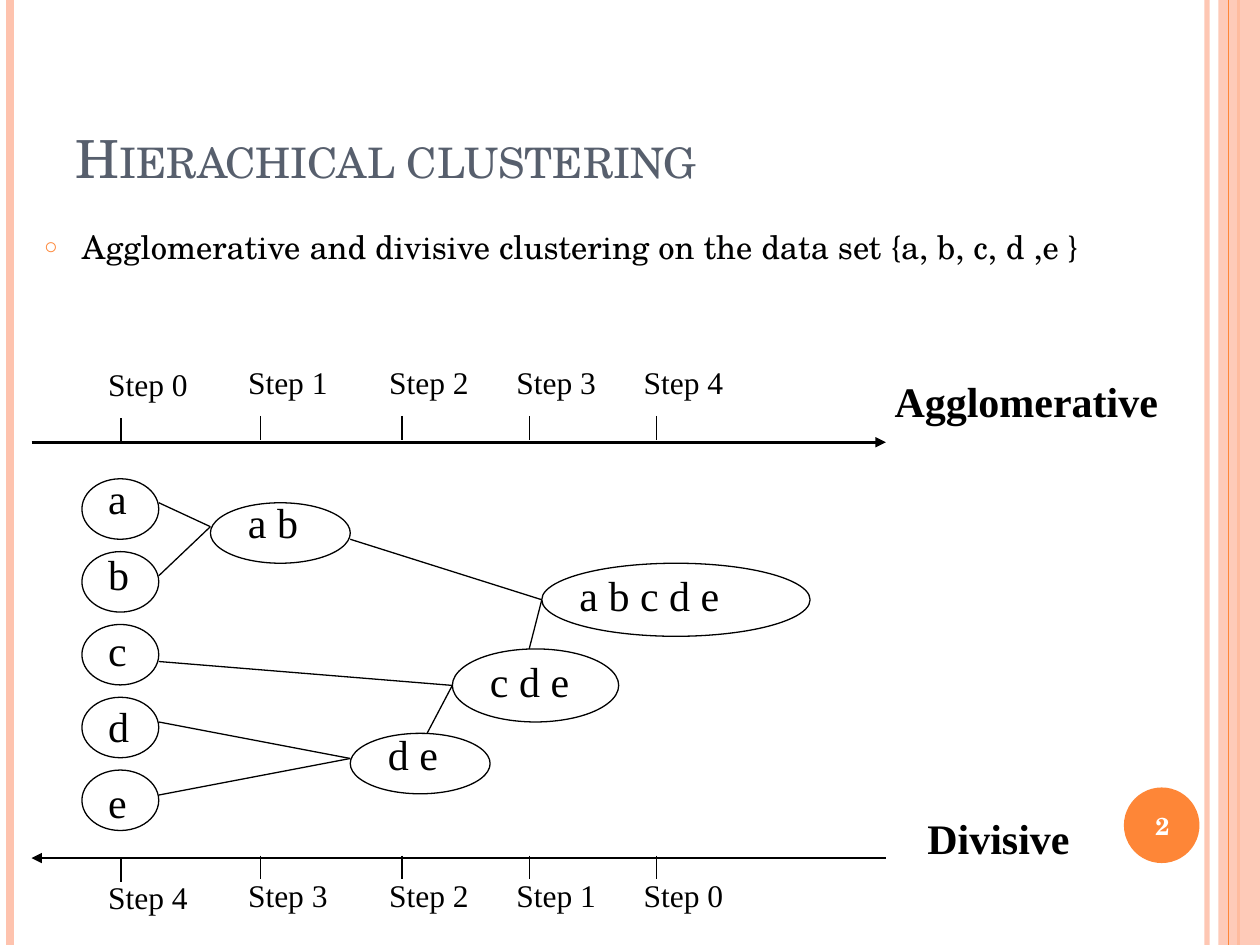
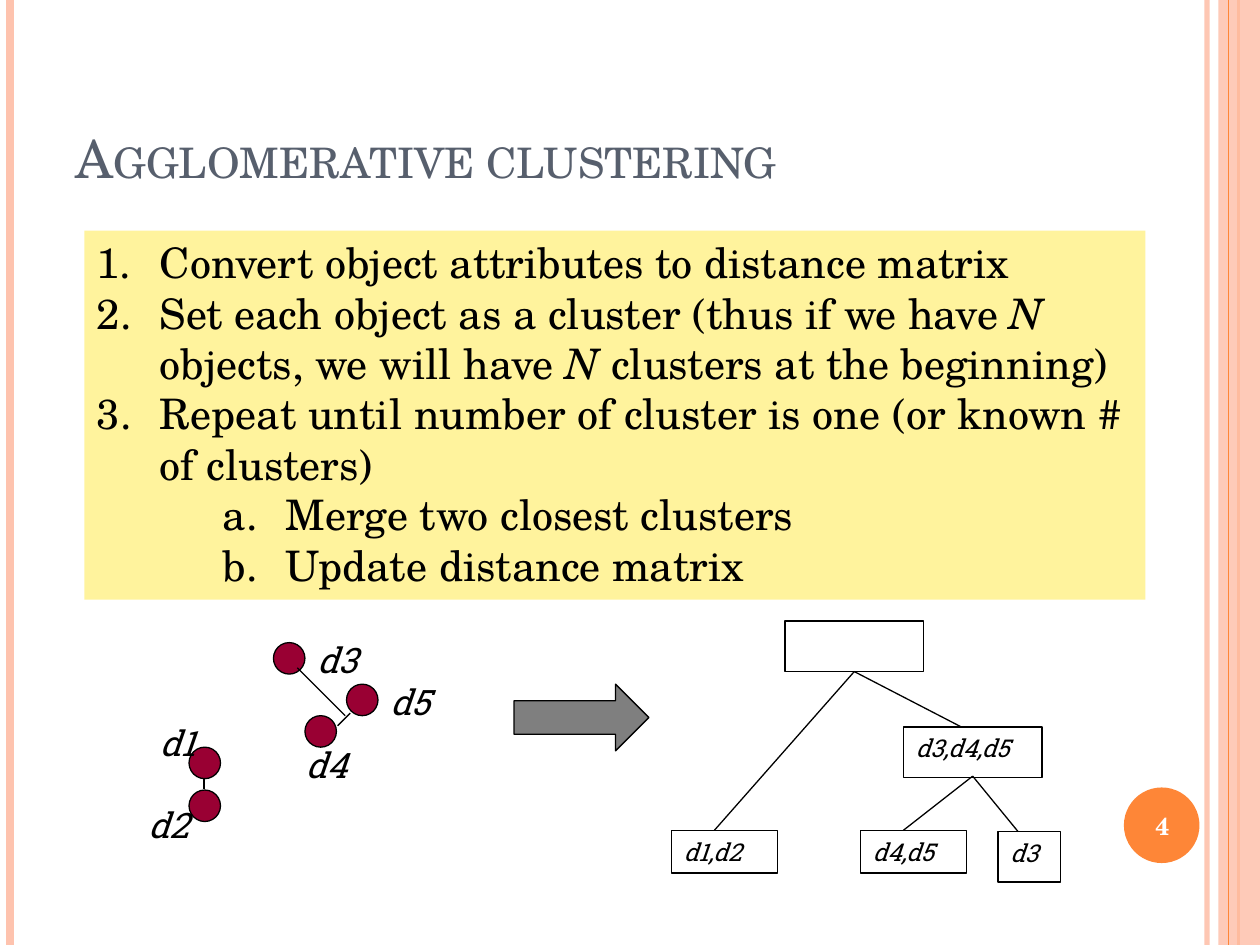
from dataclasses import dataclass
from typing import Optional

import lxml.etree
import pptx
import pptx.dml.color
import pptx.enum.shapes
import pptx.enum.text
import pptx.oxml.ns
import pptx.util

# Shared look
SERIF, TIMES, SLAB = "TeX Gyre Schola", "Times New Roman", "Roboto Slab"
ORANGE, PEACH, SLATE, BLACK, WHITE = "FE8637", "FEC3AE", "575F6D", "000000", "FFFFFF"
YELLOW, CRIMSON = "FFF39D", "990033"
COLUMNS, ROWS = 100, 75
WIDTH, HEIGHT = pptx.util.Inches(10), pptx.util.Inches(7.5)
SHAPE = pptx.enum.shapes.MSO_SHAPE
ALIGN = pptx.enum.text.PP_ALIGN
ANCHOR = pptx.enum.text.MSO_ANCHOR
qn = pptx.oxml.ns.qn


@dataclass(frozen=True)
class Area:
    """A block of the slide grid, in columns and rows."""
    left: float
    top: float
    width: float
    height: float

    def emu(self) -> tuple:
        return col(self.left), row(self.top), col(self.width), row(self.height)


@dataclass(frozen=True)
class Cluster:
    members: str
    outline: Area
    label: Area


@dataclass(frozen=True)
class Rule:
    column: float
    colour: str
    weight: float
    opacity: int = 100


@dataclass(frozen=True)
class Point:
    name: str
    dot: tuple
    label: tuple


@dataclass(frozen=True)
class TreeNode:
    members: str
    area: Area


def col(count: float) -> int:
    return round(WIDTH * count / COLUMNS)


def row(count: float) -> int:
    return round(HEIGHT * count / ROWS)


def paint(fill, colour: str, opacity: int = 100) -> None:
    """Give a fill a solid colour, translucent below 100 percent."""
    fill.solid()
    fill.fore_color.rgb = pptx.dml.color.RGBColor.from_string(colour)
    if opacity < 100:
        # The public API gives no transparency, so extend the colour element
        parent = fill.fore_color
        raise_alpha = parent._color._xClr
        lxml.etree.SubElement(raise_alpha, qn("a:alpha"), val=str(opacity * 1000))


def write(frame, paragraphs, *, size: float, font: str = TIMES, colour: str = BLACK,
          bold: bool = False, italic: bool = False, small_caps: bool = False,
          align=ALIGN.LEFT, anchor=ANCHOR.TOP, wrap: bool = True) -> None:
    """Fill a text frame; words between asterisks switch the slant."""
    frame.auto_size = pptx.enum.text.MSO_AUTO_SIZE.NONE
    frame.word_wrap, frame.vertical_anchor = wrap, anchor
    lines = [paragraphs] if isinstance(paragraphs, str) else paragraphs
    for number, line in enumerate(lines):
        paragraph = frame.add_paragraph() if number else frame.paragraphs[0]
        paragraph.alignment = align
        for index, words in enumerate(line.split("*")):
            run = paragraph.add_run()
            run.text = words
            run.font.name, run.font.size = font, pptx.util.Pt(size)
            run.font.bold, run.font.italic = bold, italic != bool(index % 2)
            paint(run.font.fill, colour)
            if small_caps:
                run.font._element.set("cap", "small")


def set_bullet(paragraph, margin: float, hanging: float, marks: dict) -> None:
    """Indent a paragraph (in columns) and add its bullet elements in order."""
    properties = paragraph._p.get_or_add_pPr()
    properties.set("marL", str(col(margin)))
    properties.set("indent", str(-col(hanging)))
    for tag, attributes in marks.items():
        lxml.etree.SubElement(properties, qn(tag), attributes)


def add_label(slide, area: Area, text: str, **style) -> None:
    write(slide.shapes.add_textbox(*area.emu()).text_frame, text, **style)


def add_figure(slide, kind, area: Area, fill: Optional[str] = None,
               line: Optional[str] = BLACK, opacity: int = 100):
    figure = slide.shapes.add_shape(kind, *area.emu())
    figure.shadow.inherit = False
    if fill:
        paint(figure.fill, fill, opacity)
    else:
        figure.fill.background()
    if line:
        paint(figure.line.fill, line)
        figure.line.width = pptx.util.Pt(0.75)
    else:
        figure.line.fill.background()
    return figure


def add_line(slide, start: tuple, end: tuple, colour: str = BLACK, weight: float = 0.75,
             opacity: int = 100, arrow: bool = False):
    line = slide.shapes.add_connector(
        pptx.enum.shapes.MSO_CONNECTOR.STRAIGHT,
        col(start[0]), row(start[1]), col(end[0]), row(end[1]))
    paint(line.line.fill, colour, opacity)
    line.line.width = pptx.util.Pt(weight)
    properties = line.element.spPr
    if arrow:
        lxml.etree.SubElement(properties.find(qn("a:ln")), qn("a:tailEnd"), type="triangle")
    lxml.etree.SubElement(properties, qn("a:effectLst"))
    return line


def add_frame(deck, slide) -> None:
    """Draw the side bands and page disc, then hand them to the master."""
    rules = [Rule(95.8, PEACH, 3, 93), Rule(0.8, PEACH, 4.5), Rule(98.3, ORANGE, 1.5),
             Rule(97.5, ORANGE, 0.75)]
    parts = [add_line(slide, (rule.column, 0), (rule.column, ROWS), rule.colour,
                      rule.weight, rule.opacity) for rule in rules]
    band = add_figure(slide, SHAPE.RECTANGLE, Area(96.7, 0, 3.3, ROWS), PEACH, None, 87)
    disc = add_figure(slide, SHAPE.OVAL, Area(89.2, 62.5, 6, 6), ORANGE, None)
    for number, part in enumerate(parts[:3] + [band, parts[3], disc], start=101):
        part.element.xpath(".//p:cNvPr")[0].set("id", str(number))
        deck.slide_master.shapes.element.append(part.element)


def add_heading(slide, title: str, page: int) -> None:
    heading = slide.shapes.title
    heading.left, heading.top, heading.width, heading.height = Area(5, 3, 81.7, 12.5).emu()
    write(heading.text_frame, title, size=30, font=SERIF, colour=SLATE,
          small_caps=True, anchor=ANCHOR.BOTTOM)
    add_label(slide, Area(88.9, 62.7, 6.7, 5.7), str(page), size=14, font=SERIF,
              colour=WHITE, bold=True, align=ALIGN.CENTER, anchor=ANCHOR.MIDDLE)


def add_timeline(slide, axis: float, labels_top: float, ticks_top: float,
                 steps, forward: bool) -> None:
    """Draw an axis with one tick and label for each step."""
    ends = [(2.5, axis), (70.3, axis)]
    add_line(slide, *(ends if forward else ends[::-1]), weight=1.5, arrow=True)
    for index, (tick, step) in enumerate(zip((9.6, 20.7, 31.9, 42, 52.1), steps)):
        drop = 0 if index else 0.2
        add_line(slide, (tick, ticks_top + drop), (tick, ticks_top + drop + 1.9))
        add_label(slide, Area(tick - 2, labels_top + drop, 10.1, 4), f"Step {step}", size=18)


def build_hierarchy(slide) -> None:
    add_heading(slide, "Hierachical clustering", 2)

    # Lead sentence
    lead = slide.placeholders[1]
    lead.left, lead.top, lead.width, lead.height = Area(2.5, 17.5, 89.2, 7.5).emu()
    write(lead.text_frame, "Agglomerative and divisive clustering on the data set {a, b, c, d ,e }",
          size=18.6, font=SERIF)
    sentence = lead.text_frame.paragraphs[0]
    sentence.space_before = pptx.util.Pt(6)
    set_bullet(sentence, 3, 3, {"a:buClr": {}, "a:buSzPct": {"val": "70000"},
                                "a:buChar": {"char": "○"}})
    lxml.etree.SubElement(sentence._p.pPr.find(qn("a:buClr")), qn("a:srgbClr"), val=ORANGE)

    # Timelines for both directions
    add_timeline(slide, 35.1, 28.3, 33, range(5), forward=True)
    add_timeline(slide, 68.1, 69, 67.9, reversed(range(5)), forward=False)

    # Single objects, then merged clusters
    clusters = [Cluster(name, Area(6.5, 38 + 5.78 * index, 6.1, 4.8),
                        Area(7.6, 37 + 6.03 * index, 3.6, 5))
                for index, name in enumerate("abcde")]
    clusters += [
        Cluster("a b", Area(16.7, 39.9, 11.1, 4.8), Area(18.7, 38.9, 6, 5)),
        Cluster("d e", Area(27.8, 58.2, 11.1, 4.8), Area(29.8, 57.3, 6, 5)),
        Cluster("c d e", Area(35.9, 51.5, 13.2, 5.8), Area(37.9, 51.5, 8.3, 5)),
        Cluster("a b c d e", Area(43, 44.7, 21.3, 5.8), Area(45, 44.7, 13.1, 5)),
    ]
    for cluster in clusters:
        add_label(slide, cluster.label, cluster.members, size=24, wrap=False)
        add_figure(slide, SHAPE.OVAL, cluster.outline)

    # Merges: each target point with the points that join there
    merges = {(16.7, 41.8): [(12.6, 39.9), (12.6, 45.7)],
              (27.8, 60.2): [(12.6, 57.3), (12.6, 63.1)],
              (35.9, 54.4): [(12.6, 52.5), (33.9, 58.2)],
              (43, 47.6): [(27.8, 42.8), (42, 51.5)]}
    for target, sources in merges.items():
        for source in sources:
            add_line(slide, source, target)

    # Direction names
    for name, area in (("Agglomerative", Area(70, 29.3, 22.9, 5)),
                       ("Divisive", Area(72.6, 64, 13.3, 5))):
        add_label(slide, area, name, size=24, bold=True, align=ALIGN.CENTER, wrap=False)


def build_algorithm(slide) -> None:
    add_heading(slide, "Agglomerative clustering", 4)

    # Numbered algorithm
    steps = ["Convert object attributes to distance matrix",
             "Set each object as a cluster (thus if we have *N* objects, "
             "we will have *N* clusters at the beginning)",
             "Repeat until number of cluster is one (or known # of clusters)"]
    substeps = ["Merge two closest clusters", "Update distance matrix"]
    panel = add_figure(slide, SHAPE.RECTANGLE, Area(6.7, 18.3, 84.2, 29.3), YELLOW, None)
    write(panel.text_frame, steps + substeps, size=24, font=SERIF)
    for index, paragraph in enumerate(panel.text_frame.paragraphs):
        nested = index >= len(steps)
        paragraph.level = int(nested)
        scheme = "alphaLcPeriod" if nested else "arabicPeriod"
        set_bullet(paragraph, 15 if nested else 5, 5, {"a:buAutoNum": {"type": scheme}})

    # Scattered points and their nearest links
    points = [Point("d1", (15, 59.3), (11.7, 56.8)), Point("d2", (15, 62.7), (10.8, 63.3)),
              Point("d5", (27.5, 54.3), (30, 53.5)), Point("d4", (24.2, 56.8), (23.3, 58.5)),
              Point("d3", (21.7, 51), (24.2, 50.2))]
    for point in points:
        add_figure(slide, SHAPE.OVAL, Area(*point.dot, 2.5, 2.5), CRIMSON)
        add_label(slide, Area(*point.label, 5.8, 4.3), point.name, size=20, font=SLAB, italic=True)
    for start, end in (((16.2, 62.6), (16.2, 61.8)), ((26.8, 57.6), (27.8, 56.6)),
                       ((23.6, 53), (27.4, 56.8))):
        add_line(slide, start, end)

    # Resulting tree
    tree = [TreeNode("", Area(62.3, 49.3, 11, 4)),
            TreeNode("d3,d4,d5", Area(71.7, 57.7, 11, 4)),
            TreeNode("d1,d2", Area(53.3, 65.9, 8.4, 3.4)),
            TreeNode("d4,d5", Area(68.3, 65.9, 8.4, 3.4)),
            TreeNode("d3", Area(79.2, 66, 5, 4))]
    for node in tree:
        box = add_figure(slide, SHAPE.RECTANGLE, node.area)
        if node.members:
            write(box.text_frame, node.members, size=14, font=SLAB, italic=True)
    branches = {(67.8, 53.3): [(76.3, 57.7), (56.7, 65.9)],
                (77.2, 61.6): [(71.7, 65.9), (80.8, 66)]}
    for parent, children in branches.items():
        for child in children:
            add_line(slide, parent, child)

    # Arrow from points to tree
    add_figure(slide, SHAPE.RIGHT_ARROW, Area(40.8, 54.3, 10.7, 5.3), BLACK, opacity=50)


def main() -> None:
    deck = pptx.Presentation()
    deck.slide_width, deck.slide_height = WIDTH, HEIGHT
    hierarchy = deck.slides.add_slide(deck.slide_layouts[1])
    add_frame(deck, hierarchy)
    build_hierarchy(hierarchy)
    build_algorithm(deck.slides.add_slide(deck.slide_layouts[5]))
    deck.save("out.pptx")


if __name__ == "__main__":
    main()
